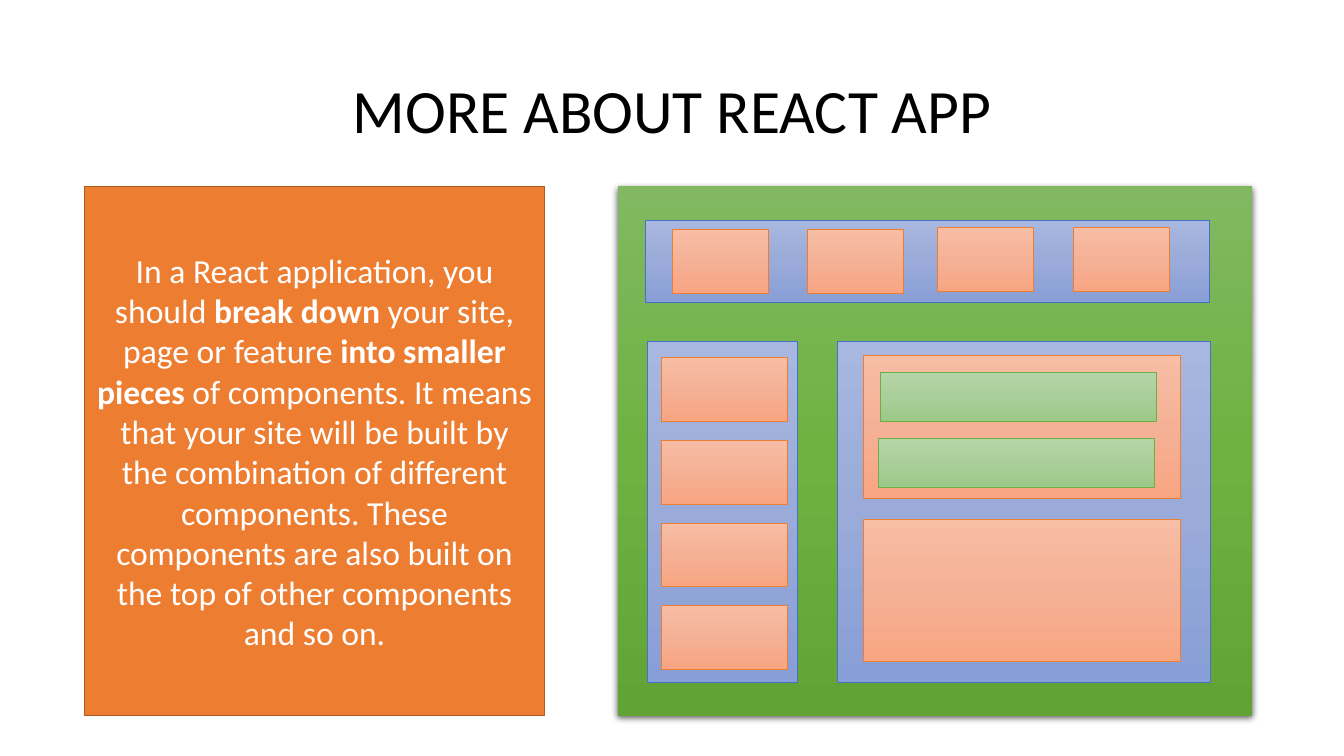
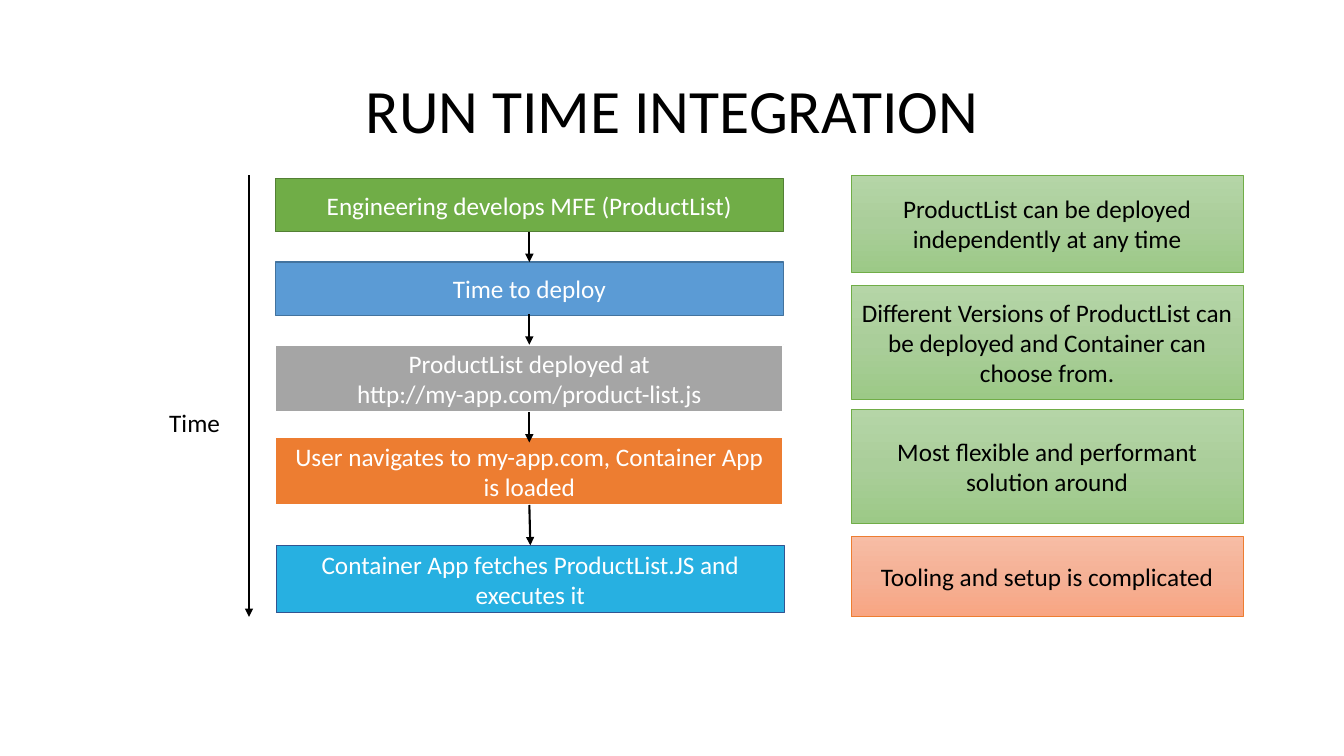
from copy import deepcopy

from lxml.etree import SubElement
from pptx import Presentation
from pptx.dml.color import RGBColor
from pptx.enum.shapes import MSO_CONNECTOR, MSO_SHAPE
from pptx.enum.text import MSO_ANCHOR, MSO_AUTO_SIZE, PP_ALIGN
from pptx.oxml.ns import qn
from pptx.util import Pt

SCALE = 9144
FONT = "Calibri"
COLORS = {
    "black": "000000",
    "white": "FFFFFF",
    "page": "81B861 6FB242 62A336",
    "panel": "A8B7DF 9AABD9 889ED7",
    "panel edge": "4472C4",
    "peach": "F7BDA5 F5B196 F8A582",
    "peach edge": "ED7D31",
    "mint": "B5D5A7 AACE9A 9CC987",
    "mint edge": "70AD47",
    "orange": "ED7D31",
    "orange edge": "AF5C24",
    "green": "70AD47",
    "green edge": "538035",
    "blue": "5B9BD5",
    "blue edge": "43739E",
    "gray": "A5A5A5",
    "cyan": "27B0E1",
    "cyan edge": "325491",
}


def tint(name):
    return RGBColor.from_string(COLORS[name])


def write(frame, text, size=18, color="black", align=PP_ALIGN.CENTER,
          anchor=MSO_ANCHOR.MIDDLE, lead=None, wrap=True):
    frame.word_wrap = wrap
    frame.vertical_anchor = anchor
    para = frame.paragraphs[0]
    para.alignment = align
    para.line_spacing = lead
    for i, part in enumerate(text.split("**")):
        run = para.add_run()
        run.text = part
        run.font.name = FONT
        run.font.size = Pt(size)
        run.font.bold = i % 2 == 1
        run.font.color.rgb = tint(color)


class Deck:
    """Holds the shared style and the current slide."""

    def __init__(self):
        self.file = Presentation()
        self.file.slide_width = 1333 * SCALE
        self.file.slide_height = 750 * SCALE

    def start(self, title):
        self.slide = self.file.slides.add_slide(self.file.slide_layouts[6])
        self.label(92, 40, 1150, 145, title, size=44, lead=0.9)

    def label(self, x, y, w, h, text, **style):
        area = [n * SCALE for n in (x, y, w, h)]
        frame = self.slide.shapes.add_textbox(*area).text_frame
        write(frame, text, **style)
        if not frame.word_wrap:
            frame.auto_size = MSO_AUTO_SIZE.SHAPE_TO_FIT_TEXT

    def box(self, x, y, w, h, fill, text="", edge=None, line=0.5, **style):
        area = [n * SCALE for n in (x, y, w, h)]
        shape = self.slide.shapes.add_shape(MSO_SHAPE.RECTANGLE, *area)
        shape.shadow.inherit = False
        self.paint(shape, fill)
        edge = edge or fill + " edge"
        if edge in COLORS:
            shape.line.color.rgb = tint(edge)
            shape.line.width = Pt(line)
        else:
            shape.line.fill.background()
        if text:
            write(shape.text_frame, text, **style)
        return shape

    def paint(self, shape, name):
        tones = COLORS[name].split()
        if len(tones) == 1:
            shape.fill.solid()
            shape.fill.fore_color.rgb = tint(name)
            return
        shape.fill.gradient()
        shape.fill.gradient_angle = 270
        stops = next(shape._element.spPr.iter(qn("a:gsLst")))
        stops.insert(1, deepcopy(stops[0]))
        for i, (stop, tone) in enumerate(zip(shape.fill.gradient_stops, tones)):
            stop.color.rgb = RGBColor.from_string(tone)
            stop.position = i / 2

    def shade(self, shape):
        list_ = shape._element.spPr.find(qn("a:effectLst"))
        cast = SubElement(list_, qn("a:outerShdw"), blurRad=str(Pt(4.5)),
                          dist=str(Pt(1.5)), dir="5400000", algn="ctr",
                          rotWithShape="0")
        hue = SubElement(cast, qn("a:srgbClr"), val=COLORS["black"])
        SubElement(hue, qn("a:alpha"), val="63000")

    def arrow(self, *ends):
        link = self.slide.shapes.add_connector(
            MSO_CONNECTOR.STRAIGHT, *[n * SCALE for n in ends])
        link.line.color.rgb = tint("black")
        link.line.width = Pt(1.5)
        SubElement(link.line._get_or_add_ln(), qn("a:tailEnd"), type="triangle")
        SubElement(link._element.spPr, qn("a:effectLst"))


def react(deck):
    deck.start("MORE ABOUT REACT APP")
    deck.box(84, 185, 456, 525, "orange",
             "In a React application, you should **break down** your site, page "
             "or feature **into smaller pieces** of components. It means that "
             "your site will be built by the combination of different "
             "components. These components are also built on the top of other "
             "components and so on.", line=1, size=24, color="white")
    deck.shade(deck.box(613, 185, 629, 525, "page"))
    for area in (640, 219, 560, 81), (642, 339, 149, 338), (831, 339, 369, 338):
        deck.box(*area, "panel")
    for x, y in (667, 228), (801, 228), (930, 226), (1065, 226):
        deck.box(x, y, 95, 63, "peach")
    for row in range(4):
        deck.box(656, 355 + 82 * row, 125, 63, "peach")
    for y in 353, 515:
        deck.box(856, y, 315, 141, "peach")
    for x, y in (873, 369), (871, 435):
        deck.box(x, y, 274, 49, "mint")


def runtime(deck):
    deck.start("RUN TIME INTEGRATION")
    steps = (
        (273, 177, 53, "green", None, 1, "Engineering develops MFE (ProductList)"),
        (273, 260, 53, "blue", None, 1, "Time to deploy"),
        (273, 342, 67, "gray", "white", 1.5,
         "ProductList deployed at http://my-app.com/product-list.js"),
        (273, 434, 67, "orange", "white", 1.5,
         "User navigates to my-app.com, Container App is loaded"),
        (274, 541, 67, "cyan", None, 1,
         "Container App fetches ProductList.JS and executes it"),
    )
    for x, y, h, fill, edge, line, text in steps:
        deck.box(x, y, 504, h, fill, text, edge=edge, line=line, color="white")
    deck.arrow(247, 174, 247, 612)
    deck.label(158, 399, 71, 40, "Time", align=PP_ALIGN.LEFT,
               anchor=MSO_ANCHOR.TOP, wrap=False)
    for y in 230, 312, 409:
        deck.arrow(525, y, 525, y + 30)
    deck.arrow(525, 501, 526, 541)
    notes = (
        (174, 96, "mint", "ProductList can be deployed independently at any time"),
        (283, 113, "mint", "Different Versions of ProductList can be deployed "
                           "and Container can choose from."),
        (406, 113, "mint", "Most flexible and performant solution around"),
        (532, 80, "peach", "Tooling and setup is complicated"),
    )
    for y, h, fill, text in notes:
        deck.box(844, y, 389, h, fill, text)


def main():
    deck = Deck()
    react(deck)
    runtime(deck)
    deck.file.save("out.pptx")


if __name__ == "__main__":
    main()
